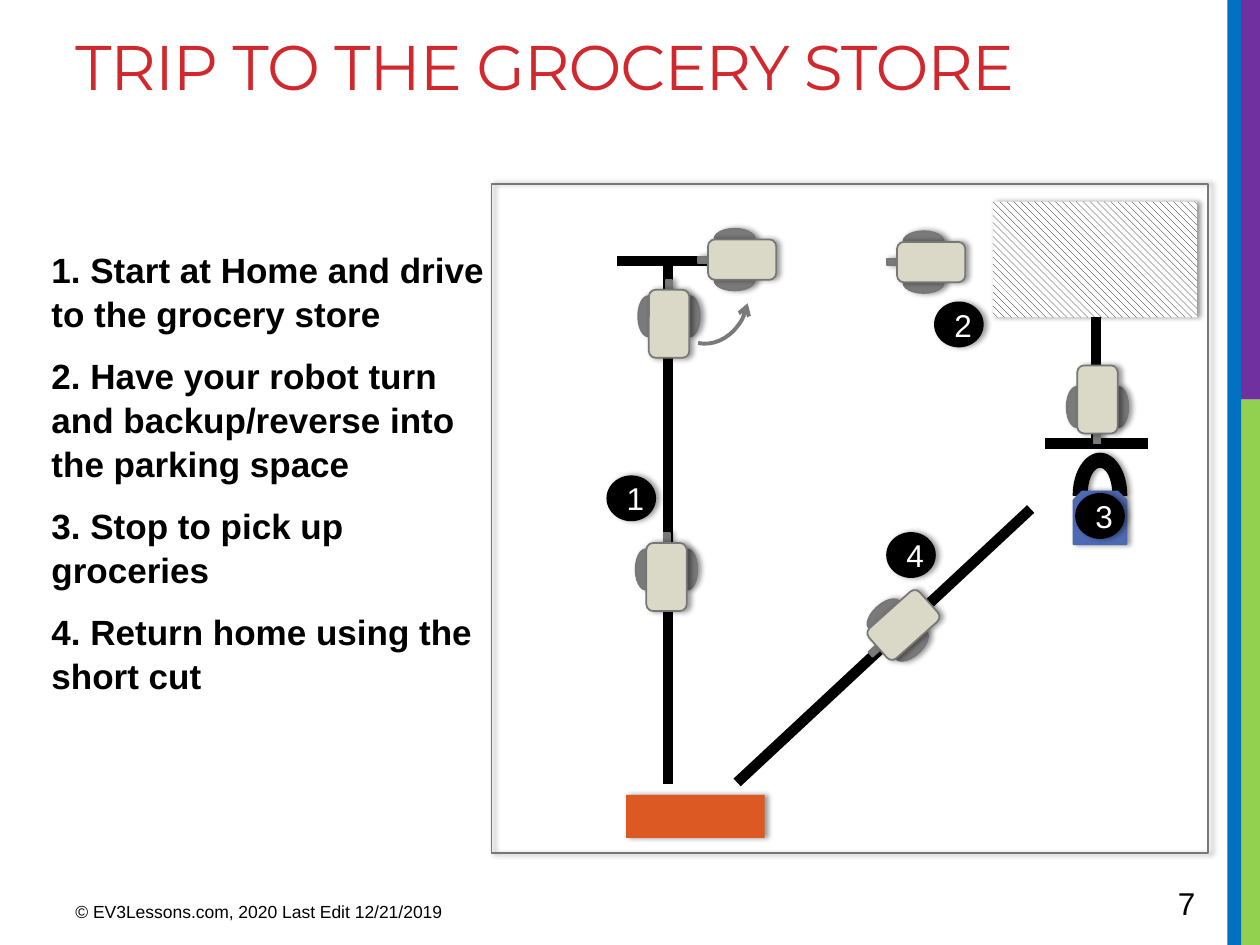
import math

import lxml.etree
import pptx
import pptx.dml.color
import pptx.enum.dml
import pptx.enum.shapes
import pptx.enum.text
import pptx.oxml.ns
import pptx.util

Inches = pptx.util.Inches
Pt = pptx.util.Pt
RGBColor = pptx.dml.color.RGBColor
SHAPE = pptx.enum.shapes.MSO_SHAPE
qn = pptx.oxml.ns.qn

BLACK = RGBColor(0x00, 0x00, 0x00)
WHITE = RGBColor(0xFF, 0xFF, 0xFF)
TITLE_RED = RGBColor(0xD1, 0x28, 0x2E)
STRIPE_BLUE = RGBColor(0x00, 0x70, 0xC0)
STRIPE_GREEN = RGBColor(0x92, 0xD0, 0x50)
STRIPE_PURPLE = RGBColor(0x70, 0x30, 0xA0)
OUTLINE_GRAY = RGBColor(0x77, 0x77, 0x77)
WHEEL_GRAY = RGBColor(0x7A, 0x7A, 0x7A)
ROBOT_BEIGE = RGBColor(0xDA, 0xD9, 0xC8)
HOME_ORANGE = RGBColor(0xDC, 0x59, 0x24)
BAG_BLUE = RGBColor(0x4D, 0x6B, 0xB5)
BAG_EDGE = RGBColor(0x4E, 0x6A, 0xAE)

STEPS = [
    "1. Start at Home and drive to the grocery store",
    "2. Have your robot turn and backup/reverse into the parking space",
    "3. Stop to pick up groceries",
    "4. Return home using the short cut",
]

# Robot parts: preset, offset from body centre, size, fill
ROBOT_PARTS = [
    (SHAPE.OVAL, -0.165, -0.06, 0.16, 0.32, WHEEL_GRAY),
    (SHAPE.OVAL, 0.165, -0.06, 0.16, 0.32, WHEEL_GRAY),
    (SHAPE.RECTANGLE, 0, -0.28, 0.05, 0.14, WHEEL_GRAY),
    (SHAPE.ROUNDED_RECTANGLE, 0, 0, 0.32, 0.54, ROBOT_BEIGE),
]


def add_shadow(shape):
    effects = shape._element.spPr.find(qn("a:effectLst"))
    outer = lxml.etree.SubElement(
        effects, qn("a:outerShdw"), blurRad=str(Pt(3.1)), dist=str(Pt(1.8)),
        dir="0", rotWithShape="0")
    color = lxml.etree.SubElement(outer, qn("a:srgbClr"), val=str(BLACK))
    lxml.etree.SubElement(color, qn("a:alpha"), val="40000")


def add_block(shapes, preset, box, fill=None, line=None, shadow=True):
    block = shapes.add_shape(preset, *map(Inches, box))
    block.shadow.inherit = False
    if fill is None:
        block.fill.background()
    else:
        block.fill.solid()
        block.fill.fore_color.rgb = fill
    if line is None:
        block.line.fill.background()
    else:
        block.line.color.rgb = line
        block.line.width = Pt(1)
    if shadow:
        add_shadow(block)
    return block


def add_run(paragraph, text, size, color, font="Arial", bold=False):
    run = paragraph.add_run()
    run.text = text
    run.font.name = font
    run.font.size = Pt(size)
    run.font.bold = bold
    run.font.color.rgb = color
    return run


def add_text_frame(slide, box):
    frame = slide.shapes.add_textbox(*map(Inches, box)).text_frame
    frame.word_wrap = True
    return frame


def add_road(slide, start, end):
    road = slide.shapes.add_connector(
        pptx.enum.shapes.MSO_CONNECTOR.STRAIGHT, *map(Inches, start + end))
    road.line.color.rgb = BLACK
    road.line.width = Pt(6)
    lxml.etree.SubElement(road._element.spPr, qn("a:effectLst"))


def add_robot(slide, center_x, center_y, heading):
    robot = slide.shapes.add_group_shape()
    cos, sin = math.cos(math.radians(heading)), math.sin(math.radians(heading))
    for preset, dx, dy, width, height, fill in ROBOT_PARTS:
        left = center_x + dx * cos - dy * sin - width / 2
        top = center_y + dx * sin + dy * cos - height / 2
        part = add_block(robot.shapes, preset, (left, top, width, height),
                         fill, OUTLINE_GRAY)
        part.rotation = heading


def add_badge(slide, number, left, top):
    badge = add_block(slide.shapes, SHAPE.OVAL, (left, top, 0.38, 0.35), BLACK, BLACK)
    frame = badge.text_frame
    frame.word_wrap = True
    frame.vertical_anchor = pptx.enum.text.MSO_ANCHOR.MIDDLE
    frame.paragraphs[0].alignment = pptx.enum.text.PP_ALIGN.CENTER
    add_run(frame.paragraphs[0], number, 18, WHITE)


def add_turn_arrow(slide):
    turn = add_block(slide.shapes, SHAPE.ARC, (5.23, 2.02, 0.77, 0.65),
                     line=WHEEL_GRAY, shadow=False)
    turn.rotation = 101.1
    turn.line.width = Pt(2.25)
    lxml.etree.SubElement(turn.line._get_or_add_ln(), qn("a:headEnd"), type="arrow")


def add_stripes(slide):
    for box, color in [
        ((9.84, 3.17, 0.16, 4.33), STRIPE_GREEN),
        ((9.8, 0, 0.2, 3.17), STRIPE_PURPLE),
        ((9.74, 0, 0.11, 7.5), STRIPE_BLUE),
    ]:
        add_block(slide.shapes, SHAPE.RECTANGLE, box, color, shadow=False)


def add_texts(slide):
    title = add_text_frame(slide, (0.5, 0.17, 9.02, 1.5))
    title_run = add_run(title.paragraphs[0], "TRIP TO THE GROCERY STORE", 36,
                        TITLE_RED, "Montserrat")
    title_run._r.get_or_add_rPr().set("spc", "-60")

    steps = add_text_frame(slide, (0.31, 1.91, 3.78, 4.37))
    for index, step in enumerate(STEPS):
        paragraph = steps.add_paragraph() if index else steps.paragraphs[0]
        paragraph.space_before = Pt(4 if index else 0)
        paragraph.space_after = Pt(6)
        paragraph.line_spacing = 1.05
        add_run(paragraph, step, 20, BLACK, bold=True)

    copyright_line = add_text_frame(slide, (0.5, 7.1, 3.75, 0.31))
    add_run(copyright_line.paragraphs[0],
            "© EV3Lessons.com, 2020 Last Edit 12/21/2019", 10, BLACK)
    page_number = add_text_frame(slide, (9.25, 6.97, 0.69, 0.4))
    add_run(page_number.paragraphs[0], "7", 18, BLACK)


def add_places(slide):
    # Hatched grocery store and orange home
    store = add_block(slide.shapes, SHAPE.RECTANGLE, (7.88, 1.6, 1.62, 0.92))
    store.fill.patterned()
    store.fill.pattern = pptx.enum.dml.MSO_PATTERN.WIDE_DOWNWARD_DIAGONAL
    store.fill.fore_color.rgb = BLACK
    store.fill.back_color.rgb = WHITE
    add_block(slide.shapes, SHAPE.RECTANGLE, (4.97, 6.31, 1.1, 0.34), HOME_ORANGE)

    # Grocery bag
    bag = slide.shapes.add_group_shape()
    add_block(bag.shapes, SHAPE.BLOCK_ARC, (8.52, 3.6, 0.42, 0.66), BLACK, BLACK)
    add_block(bag.shapes, SHAPE.SNIP_2_SAME_RECTANGLE, (8.52, 3.9, 0.42, 0.42),
              BAG_BLUE, BAG_EDGE)


def main():
    presentation = pptx.Presentation()
    presentation.slide_width = Inches(10)
    presentation.slide_height = Inches(7.5)
    slide = presentation.slides.add_slide(presentation.slide_layouts[6])

    add_stripes(slide)
    # Mat
    add_block(slide.shapes, SHAPE.RECTANGLE, (3.9, 1.46, 5.69, 5.31), line=OUTLINE_GRAY)
    add_texts(slide)
    add_places(slide)

    # Roads
    for start, end in [
        ((5.3, 6.22), (5.3, 2.07)),
        ((8.7, 3.52), (8.7, 2.52)),
        ((5.85, 6.21), (8.18, 4.04)),
        ((9.11, 3.52), (8.29, 3.52)),
        ((5.71, 2.07), (4.9, 2.07)),
    ]:
        add_road(slide, start, end)

    # Robots along the trip
    for center_x, center_y, heading in [
        (5.29, 4.58, 0), (7.39, 2.08, 270), (8.71, 3.17, 180),
        (7.17, 4.96, 228.2), (5.89, 2.06, 270), (5.31, 2.57, 0),
    ]:
        add_robot(slide, center_x, center_y, heading)

    # Step badges
    for number, left, top in [
        ("2", 7.42, 2.4), ("1", 4.82, 3.78), ("3", 8.54, 3.92), ("4", 7.04, 4.23),
    ]:
        add_badge(slide, number, left, top)
    add_turn_arrow(slide)

    presentation.save("out.pptx")


if __name__ == "__main__":
    main()
